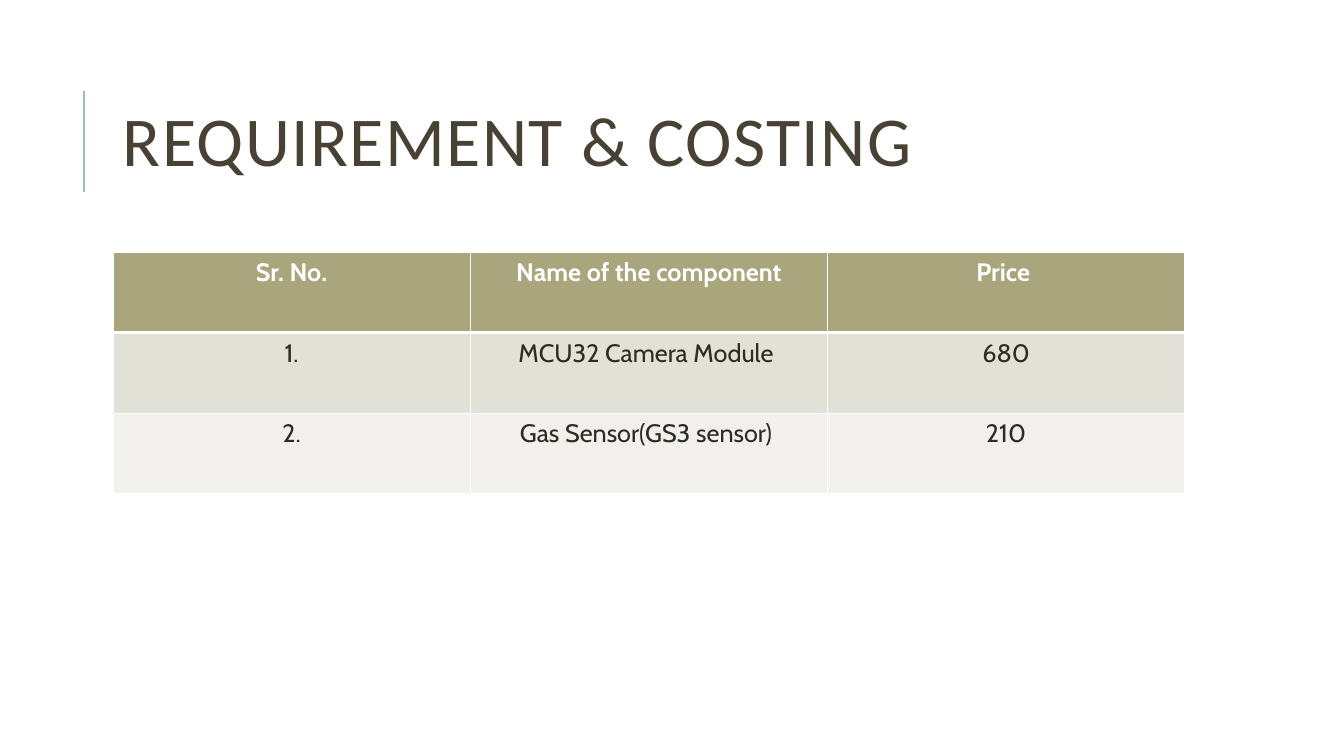
from lxml.etree import SubElement
from pptx import Presentation
from pptx.dml.color import RGBColor
from pptx.enum.shapes import MSO_CONNECTOR as Connector
from pptx.enum.text import MSO_ANCHOR as Anchor, PP_ALIGN as Align
from pptx.oxml import parse_xml
from pptx.oxml.ns import nsdecls, qn
from pptx.util import Inches, Pt

WHITE = RGBColor(0xFF, 0xFF, 0xFF)
BROWN = RGBColor(0x47, 0x42, 0x33)
INK = RGBColor(0x2E, 0x2B, 0x21)
TEAL = RGBColor(0x9C, 0xBE, 0xBD)
OLIVE = RGBColor(0xA9, 0xA5, 0x7C)
BANDS = RGBColor(0xE2, 0xE1, 0xD7), RGBColor(0xF1, 0xF0, 0xEC)

COSTING = [
    ("Sr. No.", "Name of the component", "Price "),
    ("1.", "MCU32 Camera Module ", "680"),
    ("2.", "Gas Sensor(GS3 sensor) ", "210"),
]


class CostingSlide:
    title_font = "Calibri"
    body_font = "Cabin"

    def __init__(self, deck):
        self.slide = deck.slides.add_slide(deck.slide_layouts[6])
        background = self.slide.background.fill
        background.solid()
        background.fore_color.rgb = WHITE

    def add_text(self, paragraph, text, font, size, color, bold=False):
        run = paragraph.add_run()
        run.text = text
        run.font.name = font
        run.font.size = Pt(size)
        run.font.color.rgb = color
        run.font.bold = bold
        return run

    def accent(self, x, top, bottom):
        rule = self.slide.shapes.add_connector(
            Connector.STRAIGHT, Inches(x), Inches(bottom), Inches(x), Inches(top))
        rule.line.color.rgb = TEAL
        rule.line.width = Pt(1.5)
        SubElement(rule._element.spPr, qn("a:effectLst"))

    def title(self, text, left, top, width, height):
        heading = self.slide.shapes.add_textbox(
            Inches(left), Inches(top), Inches(width), Inches(height))
        frame = heading.text_frame
        frame.word_wrap = True
        frame.vertical_anchor = Anchor.MIDDLE
        paragraph = frame.paragraphs[0]
        paragraph.line_spacing = 0.8
        run = self.add_text(paragraph, text, self.title_font, 50, BROWN)
        run._r.get_or_add_rPr().set("spc", "100")

    def border(self, cell, top, bottom):
        properties = cell._tc.get_or_add_tcPr()
        widths = {"lnL": 1, "lnR": 1, "lnT": top, "lnB": bottom}
        for index, (side, width) in enumerate(widths.items()):
            properties.insert(index, parse_xml(
                f'<a:{side} {nsdecls("a")} w="{Pt(width)}"><a:solidFill>'
                f'<a:srgbClr val="{WHITE}"/></a:solidFill></a:{side}>'))

    def table(self, rows, left, top, width, row_height):
        costs = self.slide.shapes.add_table(
            len(rows), len(rows[0]), Inches(left), Inches(top),
            Inches(width), Inches(row_height * len(rows))).table
        for r, row in enumerate(rows):
            header = r == 0
            for c, text in enumerate(row):
                cell = costs.cell(r, c)
                cell.fill.solid()
                cell.fill.fore_color.rgb = OLIVE if header else BANDS[(r - 1) % 2]
                self.border(cell, 3 if r == 1 else 1, 3 if header else 1)
                paragraph = cell.text_frame.paragraphs[0]
                paragraph.alignment = Align.CENTER
                self.add_text(paragraph, text, self.body_font, 18,
                              WHITE if header else INK, header)


def main():
    deck = Presentation()
    deck.slide_width = Inches(13.33)
    deck.slide_height = Inches(7.5)
    costing = CostingSlide(deck)
    costing.accent(0.83, 0.9, 1.9)
    costing.title("REQUIREMENT & COSTING", 1.12, 0.63, 10.63, 1.64)
    costing.table(COSTING, 1.12, 2.5, 10.63, 0.8)
    deck.save("out.pptx")


if __name__ == "__main__":
    main()
